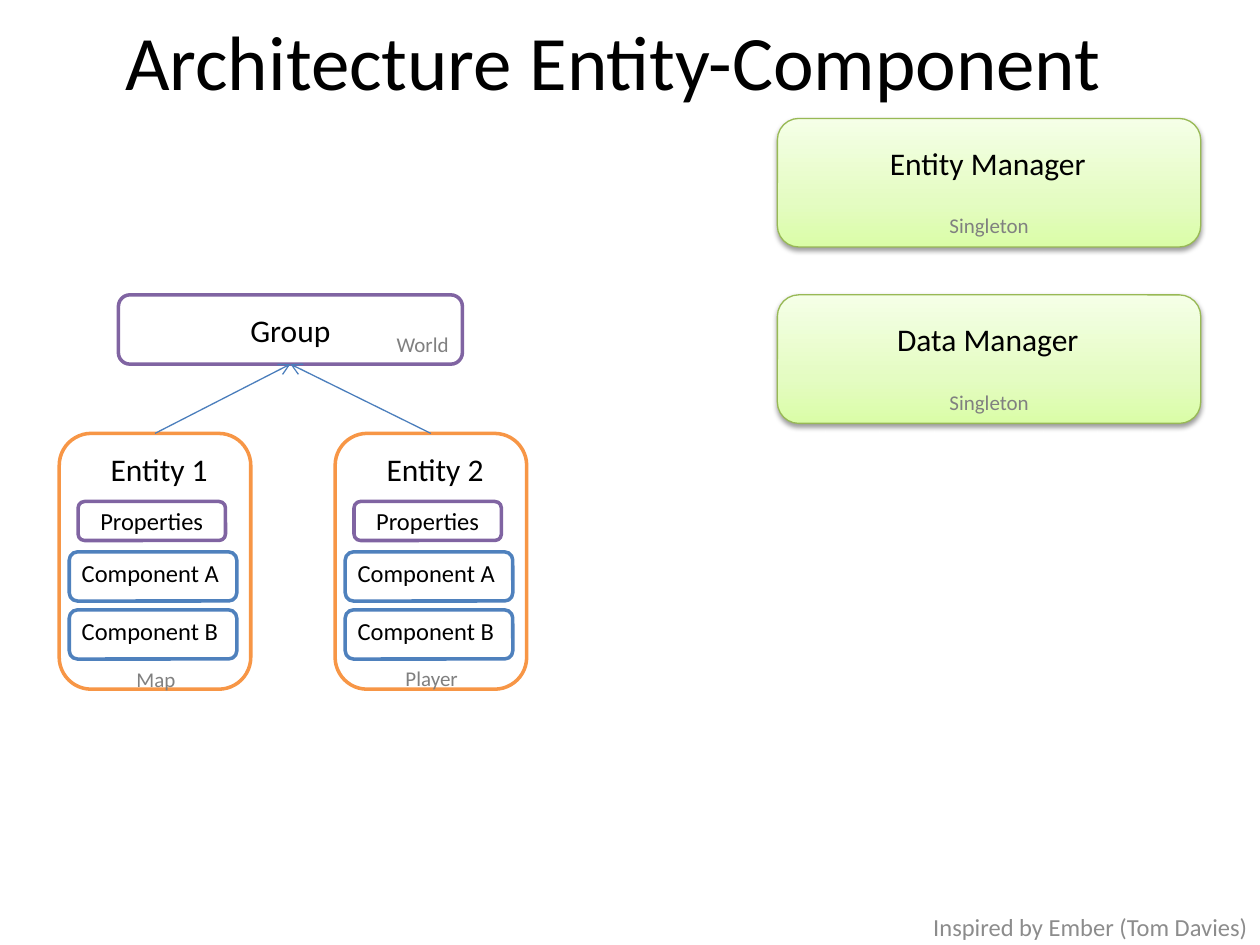
from lxml import etree
from pptx import Presentation
from pptx.dml.color import RGBColor
from pptx.enum import shapes, text
from pptx.oxml import parse_xml
from pptx.oxml.ns import nsdecls, qn
from pptx.util import Inches, Pt

BLACK, WHITE = RGBColor(0, 0, 0), RGBColor(255, 255, 255)
GREY, NOTE_GREY = RGBColor(0x80, 0x80, 0x80), RGBColor(0x8C, 0x8C, 0x8C)
ORANGE, PURPLE = RGBColor(0xF7, 0x96, 0x46), RGBColor(0x80, 0x64, 0xA2)
BLUE, ARROW_BLUE = RGBColor(0x4F, 0x81, 0xBD), RGBColor(0x4B, 0x7E, 0xBC)
GREEN = RGBColor(0x98, 0xB9, 0x55)
MANAGER_STOPS = [(0, "DAFDA7"), (35, "E4FCC2"), (100, "F5FFE7")]
LEFT, CENTER, RIGHT = text.PP_ALIGN.LEFT, text.PP_ALIGN.CENTER, text.PP_ALIGN.RIGHT

# Content
TITLE = "Architecture Entity-Component"
CREDIT = "Inspired by Ember (Tom Davies)"
GROUP, GROUP_ROLE = "Group", "World"
# name, left edge, role, role box (left offset, top, width), role alignment
ENTITIES = [
    ("Entity 1", 0.47, "Map", (0.47, 5.24, 0.55), RIGHT),
    ("Entity 2", 2.66, "Player", (0.46, 5.23, 0.7), LEFT),
]
COMPONENTS = ["Component A", "Component B"]
MANAGERS = [("Entity Manager", 0.94), ("Data Manager", 2.34)]
MANAGER_ROLE = "Singleton"

prs = Presentation()
prs.slide_width, prs.slide_height = Inches(10), Inches(7.5)
slide = prs.slides.add_slide(prs.slide_layouts[5])


def write(frame, words, size, color=BLACK, align=LEFT):
    frame.text = words
    line = frame.paragraphs[0]
    line.alignment = align
    line.font.size, line.font.name = Pt(size), "Calibri"
    line.font.color.rgb = color


def label(words, box, size, color=BLACK, align=LEFT):
    frame = slide.shapes.add_textbox(*map(Inches, box)).text_frame
    frame.word_wrap = True
    write(frame, words, size, color, align)


def rounded(box, color, width=2, words=None, size=14):
    shape = slide.shapes.add_shape(
        shapes.MSO_SHAPE.ROUNDED_RECTANGLE, *map(Inches, box))
    shape.shadow.inherit = False
    shape.fill.solid()
    shape.fill.fore_color.rgb = WHITE
    shape.line.color.rgb, shape.line.width = color, Pt(width)
    if words:
        shape.text_frame.vertical_anchor = text.MSO_ANCHOR.MIDDLE
        write(shape.text_frame, words, size, align=CENTER)
    return shape


def link(start, end):
    arrow = slide.shapes.add_connector(shapes.MSO_CONNECTOR.STRAIGHT, 0, 0, 0, 0)
    arrow.begin_connect(start, 0)
    arrow.end_connect(end, 2)
    arrow.line.color.rgb, arrow.line.width = ARROW_BLUE, Pt(0.75)
    etree.SubElement(arrow.line._get_or_add_ln(), qn("a:tailEnd"), type="arrow")
    etree.SubElement(arrow._element.spPr, qn("a:effectLst"))


def shade(shape):
    shape.fill.gradient()
    shape.fill.gradient_angle = 90
    stops = shape._element.spPr.find(".//" + qn("a:gsLst"))
    for stop in list(stops):
        stops.remove(stop)
    for position, color in MANAGER_STOPS:
        stop = etree.SubElement(stops, qn("a:gs"), pos=str(position * 1000))
        etree.SubElement(stop, qn("a:srgbClr"), val=color)
    shape._element.spPr.find(qn("a:effectLst")).append(parse_xml(
        f'<a:outerShdw {nsdecls("a")} blurRad="{Pt(3.1)}" dist="{Pt(1.6)}" '
        'dir="5400000" rotWithShape="0"><a:srgbClr val="000000">'
        '<a:alpha val="38000"/></a:srgbClr></a:outerShdw>'))


# Title and credit
title = slide.shapes.title
title.left, title.top, title.width, title.height = map(Inches, (0.62, 0, 8.5, 0.94))
title.text_frame.vertical_anchor = text.MSO_ANCHOR.MIDDLE
write(title.text_frame, TITLE, 44, align=CENTER)
label(CREDIT, (3, 7.19, 7, 0.31), 14, NOTE_GREY, RIGHT)

# Group
group = rounded((0.94, 2.34, 2.73, 0.55), PURPLE, words=GROUP, size=18)
label(GROUP_ROLE, (3.05, 2.58, 0.7, 0.3), 12, GREY)

# Entities with their properties and components
for name, left, role, (role_dx, role_top, role_width), align in ENTITIES:
    entity = rounded((left, 3.44, 1.52, 2.03), ORANGE)
    label(name, (left + 0.31, 3.52, 1.17, 0.4), 18)
    rounded((left + 0.15, 3.98, 1.17, 0.31), PURPLE, words="Properties")
    for row, component in enumerate(COMPONENTS):
        top = 4.38 + row * 0.46
        rounded((left + 0.08, top, 1.33, 0.39), BLUE)
        label(component, (left + 0.08, top, 1.41, 0.34), 14)
    label(role, (left + role_dx, role_top, role_width, 0.3), 12, GREY, align)
    link(entity, group)

# Managers
for name, top in MANAGERS:
    shade(rounded((6.17, top, 3.36, 1.02), GREEN, 0.75))
    label(name, (6.84, top + 0.15, 2, 0.4), 18, align=CENTER)
    label(MANAGER_ROLE, (7.34, top + 0.7, 1.02, 0.3), 12, GREY, CENTER)

prs.save("out.pptx")
